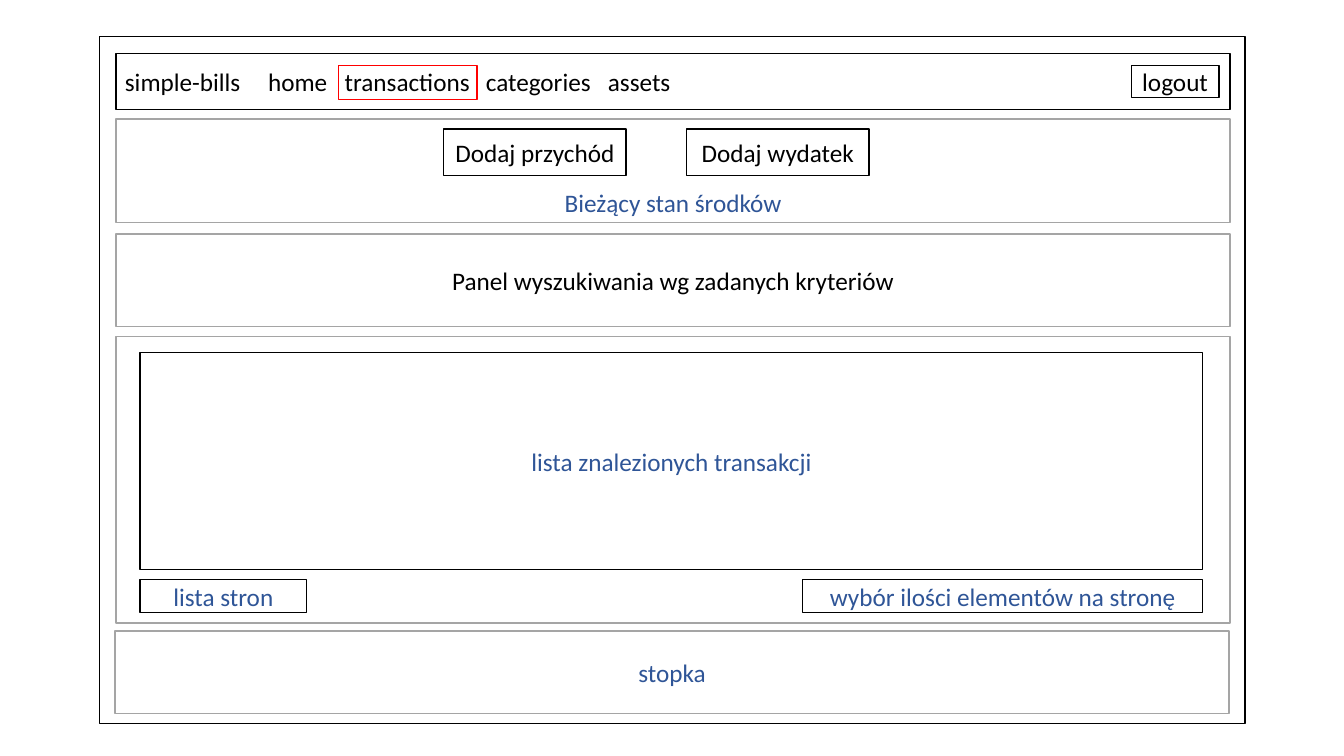
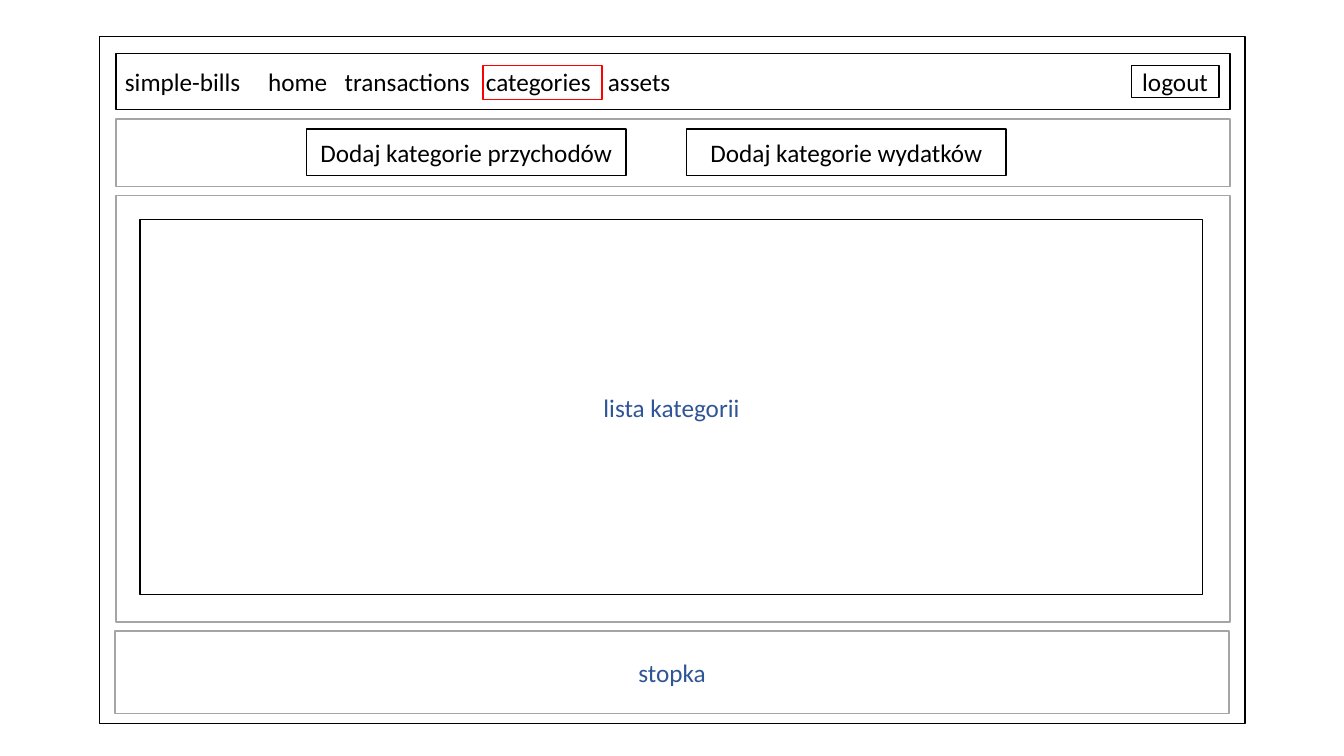
from lxml import etree
from pptx import Presentation
from pptx.dml.color import RGBColor
from pptx.enum.shapes import MSO_SHAPE
from pptx.enum.text import MSO_ANCHOR, PP_ALIGN
from pptx.oxml.ns import qn
from pptx.util import Inches, Pt

RECTANGLE = MSO_SHAPE.RECTANGLE
MIDDLE, BOTTOM = MSO_ANCHOR.MIDDLE, MSO_ANCHOR.BOTTOM
CENTER, LEFT = PP_ALIGN.CENTER, PP_ALIGN.LEFT
BLACK, WHITE, GRAY, BLUE, RED = "000000", "FFFFFF", "A5A5A5", "2F5597", "FF0000"

PANEL_LEFT, PANEL_WIDTH = 1.15, 11.05
LIST_LEFT, LIST_WIDTH = 1.39, 10.54
LIST_RIGHT = LIST_LEFT + LIST_WIDTH
FOOTER_LEFT = 1.14
NAV_TOP, NAV_HEIGHT = 0.53, 0.56
CONTROL_TOP = 0.65
BUTTON_TOP, BUTTON_HEIGHT = 1.28, 0.46
BUTTON_CENTER, BUTTON_GAP = 6.51, 0.6
PAGER_TOP, PAGER_HEIGHT = 5.75, 0.33
NAV_ITEMS = ["simple-bills", "home", "transactions", "categories", "assets"]
NAV_TABS = [1.42, 2.18, 3.58, 4.79]


def write(shape, text, color, align=CENTER, anchor=MIDDLE):
    frame = shape.text_frame
    frame.word_wrap = True
    frame.vertical_anchor = anchor
    frame.text = text
    paragraph = frame.paragraphs[0]
    paragraph.alignment = align
    paragraph.font.name = "Calibri"
    paragraph.font.size = Pt(18)
    paragraph.font.color.rgb = RGBColor.from_string(color)
    return paragraph


def add_box(slide, left, top, width, height, line=BLACK, text="", color=BLUE,
            anchor=MIDDLE, filled=True):
    shape = slide.shapes.add_shape(
        RECTANGLE, Inches(left), Inches(top), Inches(width), Inches(height))
    shape.shadow.inherit = False
    if filled:
        shape.fill.solid()
        shape.fill.fore_color.rgb = RGBColor.from_string(WHITE)
    else:
        shape.fill.background()
    shape.line.color.rgb = RGBColor.from_string(line)
    shape.line.width = Pt(1)
    if text:
        write(shape, text, color, anchor=anchor)


pages = [
    {
        "active": (3.36, 1.37),
        "button_width": 1.81,
        "buttons": ["Dodaj przychód", "Dodaj wydatek"],
        "panels": [
            (1.18, 1.03, "Bieżący stan środków", BLUE, BOTTOM),
            (2.32, 0.92, "Panel wyszukiwania wg zadanych kryteriów", BLACK, MIDDLE),
            (3.34, 2.84, "", BLUE, MIDDLE),
        ],
        "list": (3.5, 2.15, "lista znalezionych transakcji"),
        "pager": [
            (LIST_LEFT, 1.65, "lista stron"),
            (LIST_RIGHT - 3.97, 3.97, "wybór ilości elementów na stronę"),
        ],
    },
    {
        "active": (4.79, 1.18),
        "button_width": 3.17,
        "buttons": ["Dodaj kategorie przychodów", "Dodaj kategorie wydatków"],
        "panels": [
            (1.18, 0.67, "", BLUE, MIDDLE),
            (1.94, 4.23, "", BLUE, MIDDLE),
        ],
        "list": (2.18, 3.72, "lista kategorii"),
        "pager": [],
    },
]

presentation = Presentation()
presentation.slide_width = Inches(13.33)
presentation.slide_height = Inches(7.5)
blank_layout = presentation.slide_layouts[6]

for page in pages:
    slide = presentation.slides.add_slide(blank_layout)
    add_box(slide, 0.99, 0.36, 11.36, 6.82)
    add_box(slide, PANEL_LEFT, NAV_TOP, PANEL_WIDTH, NAV_HEIGHT)

    navigation = slide.shapes.add_textbox(
        Inches(FOOTER_LEFT), Inches(0.61), Inches(PANEL_WIDTH), Inches(0.4))
    paragraph = write(navigation, "\t".join(NAV_ITEMS), BLACK, LEFT)
    tab_list = etree.Element(qn("a:tabLst"))
    for position in NAV_TABS:
        etree.SubElement(tab_list, qn("a:tab"), pos=str(Inches(position)), algn="l")
    paragraph.font._element.addprevious(tab_list)

    add_box(slide, 11.22, CONTROL_TOP, 0.87, 0.32, text="logout", color=BLACK)

    for top, height, text, color, anchor in page["panels"]:
        add_box(slide, PANEL_LEFT, top, PANEL_WIDTH, height, GRAY, text, color, anchor)
    add_box(slide, FOOTER_LEFT, 6.26, PANEL_WIDTH, 0.82, GRAY, "stopka")

    button_width = page["button_width"]
    first_left = BUTTON_CENTER - BUTTON_GAP / 2 - button_width
    for index, text in enumerate(page["buttons"]):
        left = first_left + index * (button_width + BUTTON_GAP)
        add_box(slide, left, BUTTON_TOP, button_width, BUTTON_HEIGHT, text=text, color=BLACK)

    list_top, list_height, list_text = page["list"]
    add_box(slide, LIST_LEFT, list_top, LIST_WIDTH, list_height, text=list_text)
    for left, width, text in page["pager"]:
        add_box(slide, left, PAGER_TOP, width, PAGER_HEIGHT, text=text)

    active_left, active_width = page["active"]
    add_box(slide, active_left, CONTROL_TOP, active_width, 0.34, RED, filled=False)

presentation.save("out.pptx")
